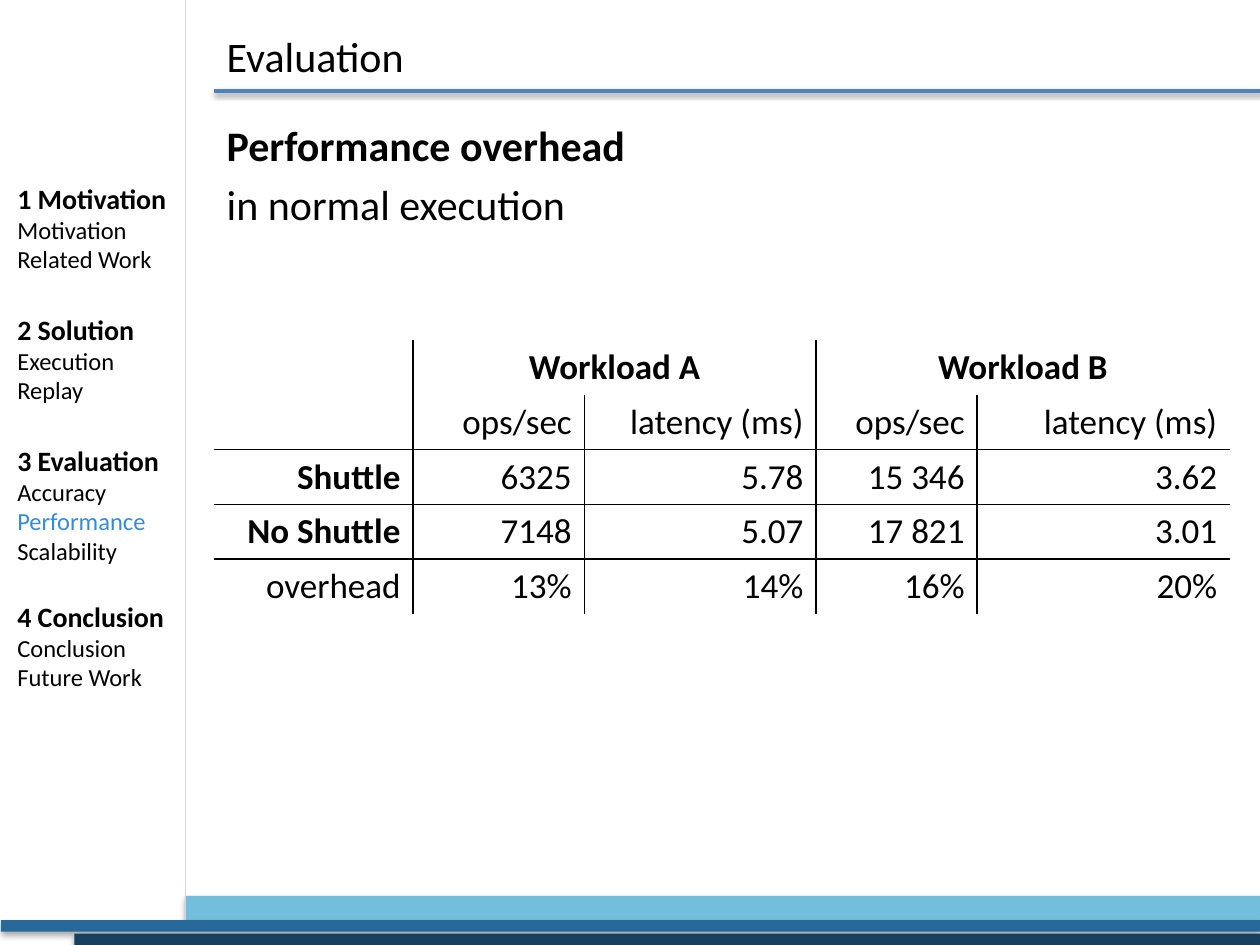
from lxml.etree import SubElement
from pptx import Presentation
from pptx.dml.color import RGBColor
from pptx.enum.shapes import MSO_CONNECTOR, MSO_SHAPE
from pptx.enum.text import MSO_ANCHOR as Anchor, PP_ALIGN as Align
from pptx.oxml.ns import qn
from pptx.util import Cm, Pt

COLORS = {
    "text": "000000", "current": "348CD3", "rule": "4F81BD", "divider": "D9D9D9",
    "light_band": "73BEDA", "mid_band": "266897", "dark_band": "17405E",
}
FONT = "Calibri"
PLAIN_TABLE_STYLE = "{2D5ABB26-0587-4C30-8999-92F81FD0307C}"
SLIDE_WIDTH, SLIDE_HEIGHT = 25.4, 19.05
CURRENT_TOPIC = "Performance"

AGENDA = [
    ("1 Motivation", ["Motivation", "Related Work"], 0),
    ("2 Solution", ["Execution", "Replay"], 22),
    ("3 Evaluation", ["Accuracy", "Performance", "Scalability"], 22),
    ("4 Conclusion", ["Conclusion", "Future Work"], 19.5),
]
RESULTS = [
    ["", "Workload A", "", "Workload B", ""],
    ["", "ops/sec", "latency (ms)", "ops/sec", "latency (ms)"],
    ["Shuttle", "6325", "5.78", "15 346", "3.62"],
    ["No Shuttle", "7148", "5.07", "17 821", "3.01"],
    ["overhead", "13%", "14%", "16%", "20%"],
]
COLUMN_WIDTHS = [4.01, 3.45, 4.67, 3.25, 5.09]
BOLD_LABELS = {"Workload A", "Workload B", "Shuttle", "No Shuttle"}


def rgb(name):
    """Return the named palette colour."""
    return RGBColor.from_string(COLORS[name])


def add_shadow(part, opacity, distance):
    """Give a shape or connector a soft shadow falling straight down."""
    properties = part._element.spPr
    for old_effects in properties.findall(qn("a:effectLst")):
        properties.remove(old_effects)
    effects = SubElement(properties, qn("a:effectLst"))
    shadow = SubElement(effects, qn("a:outerShdw"), blurRad=str(Pt(3.1)),
                        dist=str(Pt(distance)), dir="5400000", rotWithShape="0")
    black = SubElement(shadow, qn("a:srgbClr"), val=COLORS["text"])
    SubElement(black, qn("a:alpha"), val=str(opacity * 1000))


def write(paragraph, text, size, bold=False, color="text"):
    """Set a paragraph's text and format its runs."""
    paragraph.text = text
    for run in paragraph.runs:
        run.font.name = FONT
        run.font.size = Pt(size)
        run.font.bold = bold
        run.font.color.rgb = rgb(color)


def add_text_frame(slide, left, top, width, height, anchor=Anchor.TOP):
    """Add a wrapping text box and return its frame."""
    frame = slide.shapes.add_textbox(Cm(left), Cm(top), Cm(width), Cm(height)).text_frame
    frame.word_wrap = True
    frame.vertical_anchor = anchor
    return frame


def add_line(slide, start, end, color, width):
    """Add a shadowed straight line."""
    line = slide.shapes.add_connector(
        MSO_CONNECTOR.STRAIGHT, *(Cm(value) for value in (*start, *end)))
    line.line.color.rgb = rgb(color)
    line.line.width = Pt(width)
    add_shadow(line, 38, 1.6)


def add_footer(slide, left, top, width):
    """Stack the three footer bands, each running to the right edge."""
    bands = [("light_band", 3.73, 0, 0.51), ("mid_band", 0.02, 0.49, 0.23),
             ("dark_band", 1.5, 0.76, 0.23)]
    for color, indent, offset, height in bands:
        band = slide.shapes.add_shape(MSO_SHAPE.RECTANGLE, Cm(left + indent),
                                      Cm(top + offset), Cm(width - indent), Cm(height))
        band.fill.solid()
        band.fill.fore_color.rgb = rgb(color)
        band.line.fill.background()
        add_shadow(band, 35, 1.8)


def add_header(slide, left, top, width):
    """Place the slide title above its rule."""
    add_line(slide, (left, top + 1.27), (left + width, top + 1.27), "rule", 2)
    title = add_text_frame(slide, left, top, 12, 1.14, Anchor.MIDDLE)
    write(title.paragraphs[0], "Evaluation", 24)


def add_subject(slide, left, top, width, height):
    """Place the two lines that introduce the results."""
    subject = add_text_frame(slide, left, top, width, height)
    write(subject.paragraphs[0], "Performance overhead", 24, bold=True)
    condition = subject.add_paragraph()
    write(condition, "in normal execution", 24)
    condition.space_before = Pt(4.8)


def add_sidebar(slide, left, top, width, height):
    """List the agenda with the current topic highlighted."""
    add_line(slide, (3.73, 0), (3.73, 18.54), "divider", 0.25)
    agenda = add_text_frame(slide, left, top, width, height)
    for index, (section, topics, gap) in enumerate(AGENDA):
        heading = agenda.add_paragraph() if index else agenda.paragraphs[0]
        write(heading, section, 16, bold=True)
        heading.space_before = Pt(gap)
        for topic in topics:
            color = "current" if topic == CURRENT_TOPIC else "text"
            write(agenda.add_paragraph(), topic, 14, color=color)


def set_borders(cell, visible):
    """Draw the visible sides of a cell and hide the others."""
    properties = cell._tc.get_or_add_tcPr()
    for side in "LRTB":
        border = SubElement(properties, qn(f"a:ln{side}"), w=str(Pt(1)))
        if side in visible:
            fill = SubElement(border, qn("a:solidFill"))
            SubElement(fill, qn("a:srgbClr"), val=COLORS["text"])
        else:
            SubElement(border, qn("a:noFill"))


def visible_sides(row, column):
    """Return the sides of a results cell that carry a grid line."""
    last_row, last_column = len(RESULTS) - 1, len(COLUMN_WIDTHS) - 1
    rules = {
        "L": column > 0 and (row > 0 or column % 2 == 1),
        "R": column < last_column and (row > 0 or column % 2 == 0),
        "T": row > 1,
        "B": 0 < row < last_row,
    }
    rules["T"] = row >= 2
    return {side for side, shown in rules.items() if shown}


def add_results(slide, left, top, row_height):
    """Build the table of results for both workloads."""
    table = slide.shapes.add_table(
        len(RESULTS), len(COLUMN_WIDTHS), Cm(left), Cm(top),
        Cm(sum(COLUMN_WIDTHS)), Cm(row_height * len(RESULTS))).table
    table.first_row = table.horz_banding = False
    table._tbl.tblPr.find(qn("a:tableStyleId")).text = PLAIN_TABLE_STYLE
    for column, width in zip(table.columns, COLUMN_WIDTHS):
        column.width = Cm(width)
    for first in (1, 3):
        table.cell(0, first).merge(table.cell(0, first + 1))
    for row, values in enumerate(RESULTS):
        table.rows[row].height = Cm(row_height)
        for column, value in enumerate(values):
            cell = table.cell(row, column)
            entry = cell.text_frame.paragraphs[0]
            write(entry, value, 20, bold=value in BOLD_LABELS)
            entry.alignment = Align.RIGHT if row else Align.CENTER
            set_borders(cell, visible_sides(row, column))
            cell.fill.background()


def main():
    """Build the slide and save it."""
    presentation = Presentation()
    presentation.slide_width = Cm(SLIDE_WIDTH)
    presentation.slide_height = Cm(SLIDE_HEIGHT)
    slide = presentation.slides.add_slide(presentation.slide_layouts[6])
    content_left = 4.32
    add_footer(slide, 0, 18.06, SLIDE_WIDTH)
    add_header(slide, content_left, 0.56, SLIDE_WIDTH - content_left)
    add_subject(slide, content_left, 2.29, 20.6, 15.37)
    add_sidebar(slide, 0.1, 3.53, 3.71, 11.2)
    add_results(slide, content_left, 6.86, 1.1)
    presentation.save("out.pptx")


if __name__ == "__main__":
    main()
